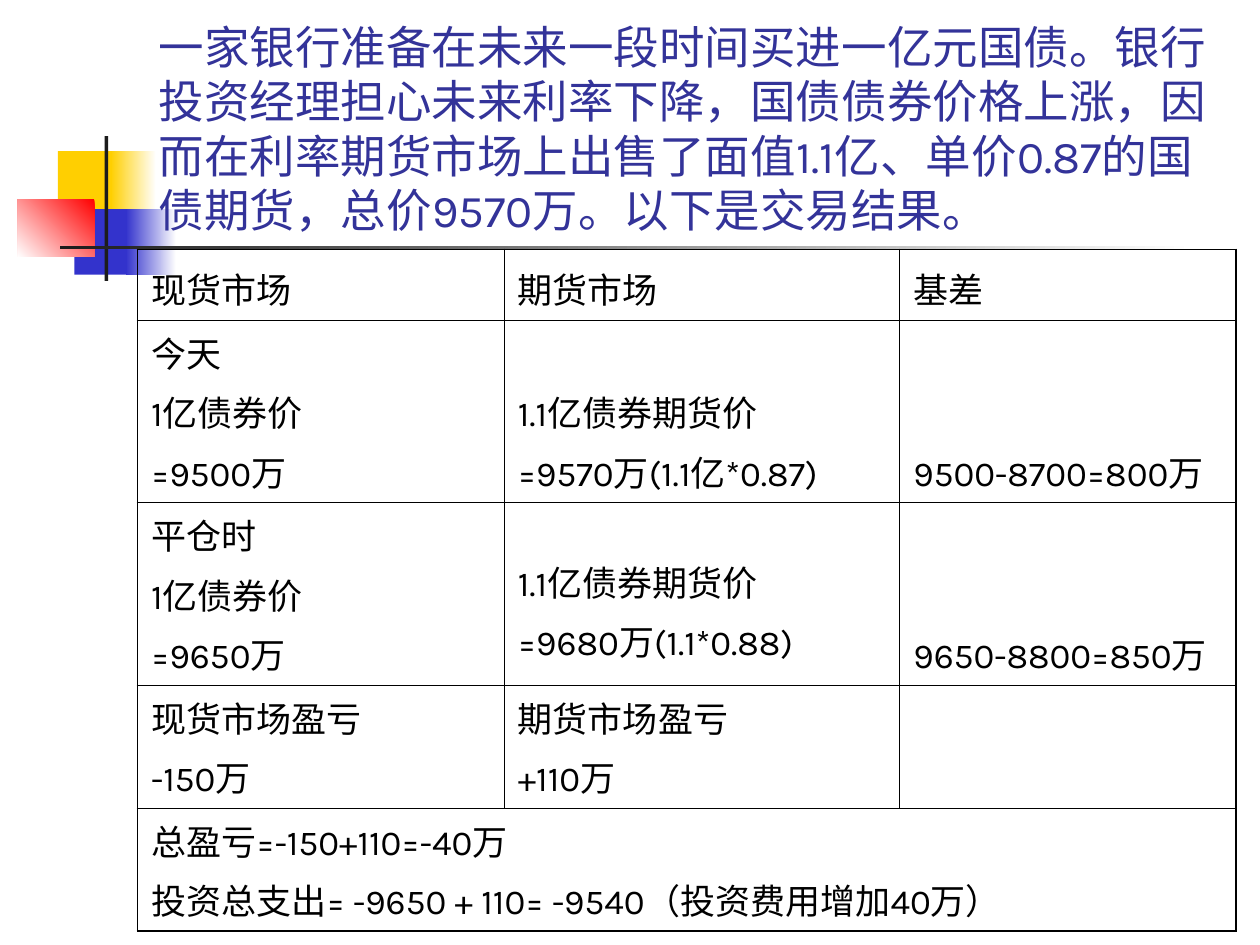
import lxml.etree
import pptx
import pptx.dml.color
import pptx.enum.shapes
import pptx.enum.text
import pptx.oxml.ns
import pptx.util

Inches = pptx.util.Inches
Pt = pptx.util.Pt
Anchor = pptx.enum.text.MSO_ANCHOR

COLORS = {
    "white": "FFFFFF",
    "yellow": "FFCF01",
    "blue": "3333CC",
    "red": "FF0000",
    "dark": "1C1C1C",
    "title": "333399",
    "black": "000000",
}
FONT = "Karla"
INNER_LINE, OUTER_LINE = 0.45, 1.08

ORNAMENT = [
    ((0.32, 0.12, 0.48, 0.52), ["yellow"], None),
    ((0.74, 0.12, 0.36, 0.52), ["white", "yellow"], 180),
    ((0.45, 0.58, 0.46, 0.52), ["blue"], None),
    ((0.86, 0.58, 0.40, 0.52), ["white", "blue"], 180),
    ((0, 0.50, 0.61, 0.46), ["red", "white"], 225),
    ((0.69, 0, 0.03, 1.15), ["dark"], None),
    ((0.34, 0.87, 9, 0.03), ["white", "dark"], 180),
]

TITLE = (
    "一家银行准备在未来一段时间买进一亿元国债。银行投资经理担心未来利率下降，"
    "国债债券价格上涨，因而在利率期货市场上出售了面值1.1亿、单价0.87的国债期货，"
    "总价9570万。以下是交易结果。"
)
COLUMN_WIDTHS = [2.91, 3.14, 2.67]
ROW_HEIGHTS = [0.56, 1.25, 1.25, 0.85, 0.85]
TRADES = [
    ["现货市场", "期货市场", "基差"],
    ["今天\n1亿债券价\n=9500万", "1.1亿债券期货价\n=9570万(1.1亿*0.87)", "9500-8700=800万"],
    ["平仓时\n1亿债券价\n=9650万", "1.1亿债券期货价\n=9680万(1.1*0.88)", "9650-8800=850万"],
    ["现货市场盈亏\n-150万", "期货市场盈亏\n+110万", ""],
    ["总盈亏=-150+110=-40万\n投资总支出= -9650 + 110= -9540（投资费用增加40万）", "", ""],
]
BOTTOM_CELLS = {(0, 0), (0, 1), (0, 2), (1, 1), (1, 2), (2, 2)}
CLOSING_FUTURES = (2, 1)


def rgb(name):
    return pptx.dml.color.RGBColor.from_string(COLORS[name])


def write_text(frame, text, size=20, color="black", gap=0):
    for index, line in enumerate(text.split("\n")):
        para = frame.paragraphs[0] if index == 0 else frame.add_paragraph()
        para.alignment = pptx.enum.text.PP_ALIGN.LEFT
        if index:
            para.space_before = Pt(gap)
        span = para.add_run()
        span.text = line
        span.font.name = FONT
        span.font.size = Pt(size)
        span.font.color.rgb = rgb(color)


def add_ornament(page, left, top):
    for (x, y, width, height), colors, angle in ORNAMENT:
        block = page.shapes.add_shape(
            pptx.enum.shapes.MSO_SHAPE.RECTANGLE,
            Inches(left + x), Inches(top + y), Inches(width), Inches(height),
        )
        block.shadow.inherit = False
        block.line.fill.background()
        if angle is None:
            block.fill.solid()
            block.fill.fore_color.rgb = rgb(colors[0])
        else:
            block.fill.gradient()
            block.fill.gradient_angle = angle
            for stop, color in zip(block.fill.gradient_stops, colors):
                stop.color.rgb = rgb(color)


def place_title(page, left, top, width, height):
    title = page.shapes.title
    title.left, title.top = Inches(left), Inches(top)
    title.width, title.height = Inches(width), Inches(height)
    frame = title.text_frame
    frame.word_wrap = True
    frame.auto_size = pptx.enum.text.MSO_AUTO_SIZE.NONE
    frame.vertical_anchor = Anchor.BOTTOM
    write_text(frame, TITLE, size=26, color="title")
    title.element.getparent().append(title.element)


def set_borders(cell, edges):
    properties = cell._tc.get_or_add_tcPr()
    for index, (side, outer) in enumerate(edges.items()):
        line = lxml.etree.Element(pptx.oxml.ns.qn(f"a:ln{side}"))
        line.set("w", str(Pt(OUTER_LINE if outer else INNER_LINE)))
        fill = lxml.etree.SubElement(line, pptx.oxml.ns.qn("a:solidFill"))
        color = lxml.etree.SubElement(fill, pptx.oxml.ns.qn("a:srgbClr"))
        color.set("val", COLORS["black"])
        properties.insert(index, line)


def add_trades(page, left, top):
    row_count, column_count = len(ROW_HEIGHTS), len(COLUMN_WIDTHS)
    table = page.shapes.add_table(
        row_count, column_count, Inches(left), Inches(top),
        Inches(sum(COLUMN_WIDTHS)), Inches(sum(ROW_HEIGHTS)),
    ).table
    table.first_row = table.horz_banding = False
    for column, width in zip(table.columns, COLUMN_WIDTHS):
        column.width = Inches(width)
    for row, height in zip(table.rows, ROW_HEIGHTS):
        row.height = Inches(height)
    last_row, last_column = row_count - 1, column_count - 1
    table.cell(last_row, 0).merge(table.cell(last_row, last_column))
    for r, texts in enumerate(TRADES):
        for c, text in enumerate(texts):
            cell = table.cell(r, c)
            cell.fill.background()
            cell.margin_left = cell.margin_right = Inches(0.11)
            cell.margin_top = Inches(0.42 if (r, c) == CLOSING_FUTURES else 0.05)
            cell.margin_bottom = Inches(0.05)
            cell.vertical_anchor = Anchor.BOTTOM if (r, c) in BOTTOM_CELLS else Anchor.TOP
            if text:
                write_text(cell.text_frame, text, gap=5)
            set_borders(cell, {
                "L": c == 0,
                "R": c == last_column or r == last_row,
                "T": r == 0,
                "B": r == last_row,
            })


def main():
    deck = pptx.Presentation()
    deck.slide_width, deck.slide_height = Inches(10), Inches(7.5)
    page = deck.slides.add_slide(deck.slide_layouts[5])
    add_ornament(page, 0.14, 1.08)
    place_title(page, 1.16, 0.29, 8.62, 1.64)
    add_trades(page, 1.09, 1.98)
    deck.save("out.pptx")


if __name__ == "__main__":
    main()
